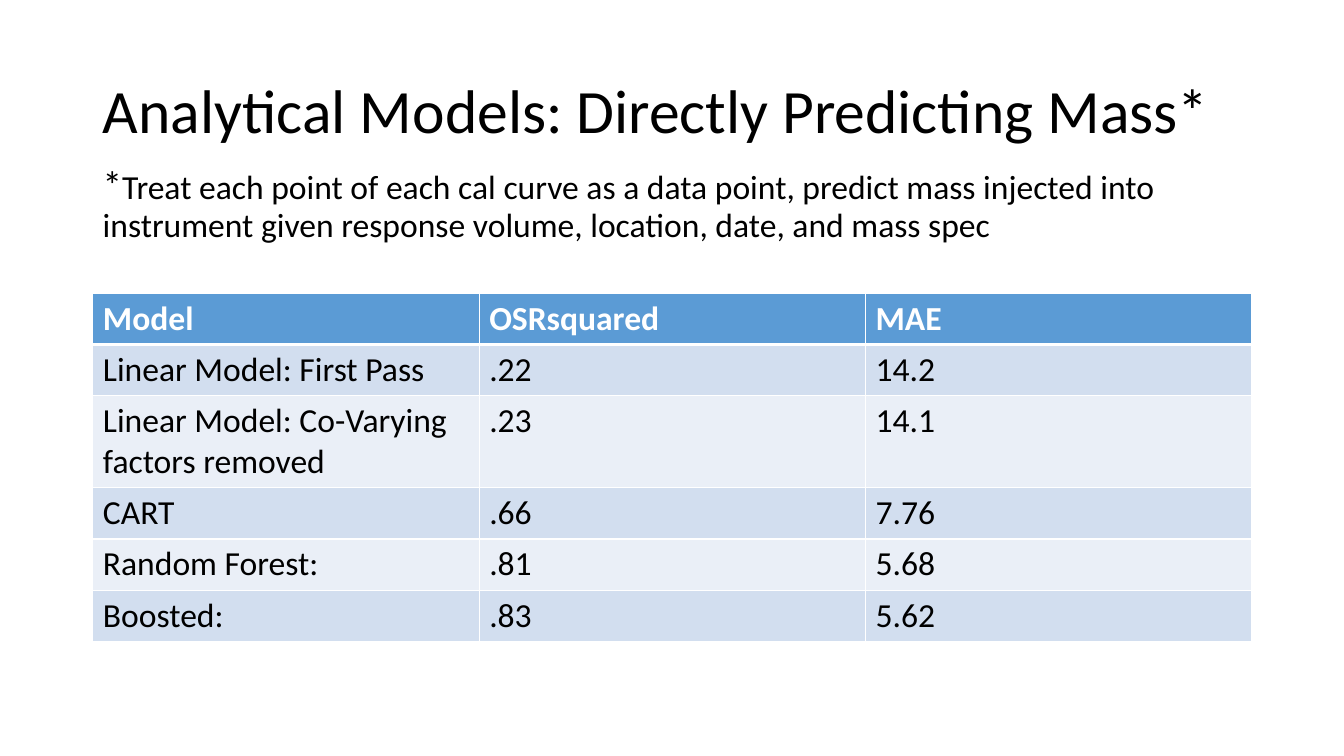
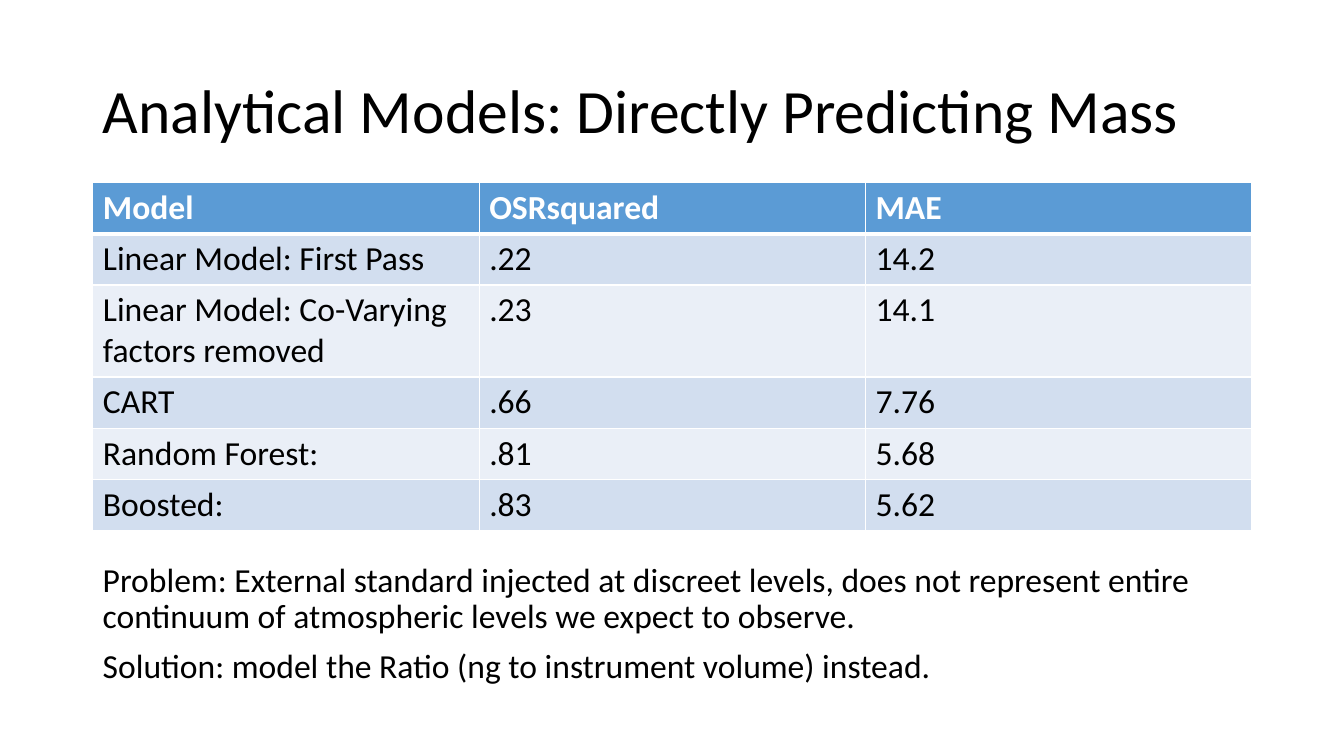
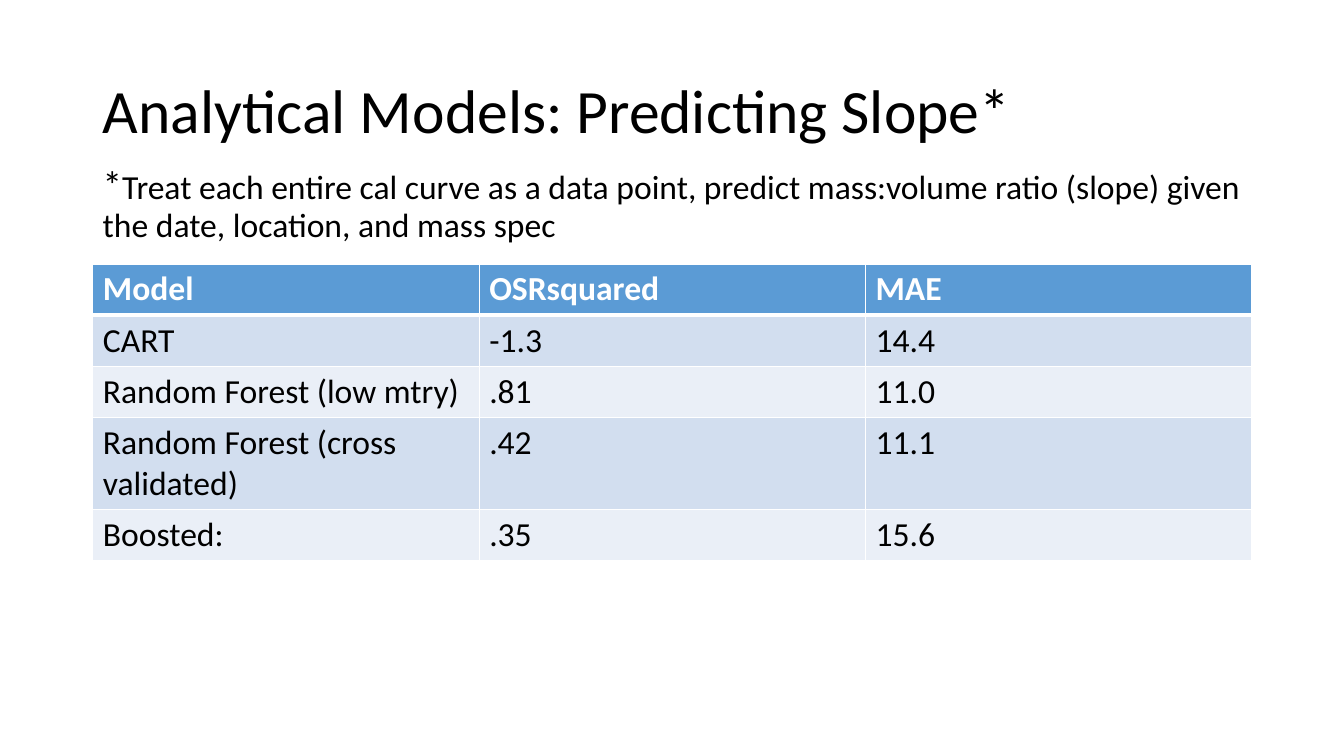
from dataclasses import dataclass
from lxml.etree import SubElement as Sub
from pptx import Presentation
from pptx.dml.color import RGBColor as Rgb
from pptx.enum.text import MSO_ANCHOR as Anchor, PP_ALIGN as Align
from pptx.oxml.ns import qn
from pptx.util import Cm, Pt


@dataclass(frozen=True)
class Theme:
    font: str = "Calibri"
    ink: str = "000000"
    white: str = "FFFFFF"
    head: str = "5B9BD5"
    bands: tuple = ("D2DEEF", "EAEFF7")
    title: int = 44
    star: int = 28
    body: int = 24
    thin: int = 1
    thick: int = 3


T = Theme()
LEFT, WIDTH = 2.34, 29.21
LOW, TALL, FIT = 1.29, 2.32, 24

HEAD = ("Model", "OSRsquared", "MAE")
MASS = [
    HEAD,
    ("Linear Model: First Pass", ".22", "14.2"),
    ("Linear Model: Co-Varying factors removed", ".23", "14.1"),
    ("CART", ".66", "7.76"),
    ("Random Forest:", ".81", "5.68"),
    ("Boosted:", ".83", "5.62"),
]
SLOPE = [
    HEAD,
    ("CART", "-1.3", "14.4"),
    ("Random Forest (low mtry)", ".81", "11.0"),
    ("Random Forest (cross validated)", ".42", "11.1"),
    ("Boosted:", ".35", "15.6"),
]
STAR = ("*", T.star)
ABOVE = (4.06, WIDTH, 2.72)
BELOW = (14.07, 29.51, 4.55)

SLIDES = [
    dict(
        title="Analytical Models: Directly Predicting Mass*",
        rows=MASS, top=7.39, box=ABOVE,
        note=[[STAR, ("Treat each point of each cal curve as a data point, predict mass "
                      "injected into instrument given response volume, location, date, "
                      "and mass spec", T.body)]],
    ),
    dict(
        title="Analytical Models: Directly Predicting Mass",
        rows=MASS, top=4.6, box=BELOW,
        note=[
            [("Problem: External standard injected at discreet levels, does not "
              "represent entire continuum of atmospheric levels we expect to observe.",
              T.body)],
            [("Solution: model the Ratio (ng to instrument volume) instead.", T.body)],
        ],
    ),
    dict(
        title="Analytical Models: Predicting Slope*",
        rows=SLOPE, top=6.65, box=ABOVE,
        note=[[STAR, ("Treat each entire cal curve as a data point, predict mass:volume "
                      "ratio (slope) given the date, location, and mass spec", T.body)]],
    ),
]


def add_run(para, text, size, color=T.ink, bold=False):
    run = para.add_run()
    run.text = text
    font = run.font
    font.name, font.size, font.bold = T.font, Pt(size), bold
    font.color.rgb = Rgb.from_string(color)


def add_title(slide, text):
    shape = slide.shapes.title
    shape.left, shape.top = Cm(LEFT), Cm(1.02)
    shape.width, shape.height = Cm(WIDTH), Cm(3.68)
    frame = shape.text_frame
    frame.vertical_anchor = Anchor.MIDDLE
    para = frame.paragraphs[0]
    para.alignment = Align.LEFT
    para.line_spacing = 0.9
    add_run(para, text, T.title)


def add_note(slide, paras, box):
    top, wide, high = box
    frame = slide.shapes.add_textbox(Cm(LEFT), Cm(top), Cm(wide), Cm(high)).text_frame
    frame.word_wrap = True
    for i, runs in enumerate(paras):
        para = frame.add_paragraph() if i else frame.paragraphs[0]
        para.line_spacing = 0.9
        para.space_before = Pt(10)
        for text, size in runs:
            add_run(para, text, size)


def add_edges(cell, row):
    props = cell._tc.get_or_add_tcPr()
    wide = {"T": T.thick if row == 1 else T.thin,
            "B": T.thick if row == 0 else T.thin}
    for side in "LRTB":
        line = Sub(props, qn(f"a:ln{side}"), w=str(Pt(wide.get(side, T.thin))))
        Sub(Sub(line, qn("a:solidFill")), qn("a:srgbClr"), val=T.white)


def add_grid(slide, rows, top):
    highs = [TALL if len(row[0]) > FIT else LOW for row in rows]
    table = slide.shapes.add_table(
        len(rows), len(HEAD), Cm(LEFT), Cm(top), Cm(WIDTH), Cm(sum(highs))).table
    for i, row in enumerate(rows):
        table.rows[i].height = Cm(highs[i])
        first = i == 0
        fill = T.head if first else T.bands[(i - 1) % 2]
        for j, text in enumerate(row):
            cell = table.cell(i, j)
            add_edges(cell, i)
            cell.fill.solid()
            cell.fill.fore_color.rgb = Rgb.from_string(fill)
            add_run(cell.text_frame.paragraphs[0], text, T.body,
                    T.white if first else T.ink, first)


def main():
    deck = Presentation()
    deck.slide_width, deck.slide_height = Cm(33.87), Cm(19.05)
    for data in SLIDES:
        slide = deck.slides.add_slide(deck.slide_layouts[5])
        add_title(slide, data["title"])
        add_grid(slide, data["rows"], data["top"])
        add_note(slide, data["note"], data["box"])
    deck.save("out.pptx")


if __name__ == "__main__":
    main()
